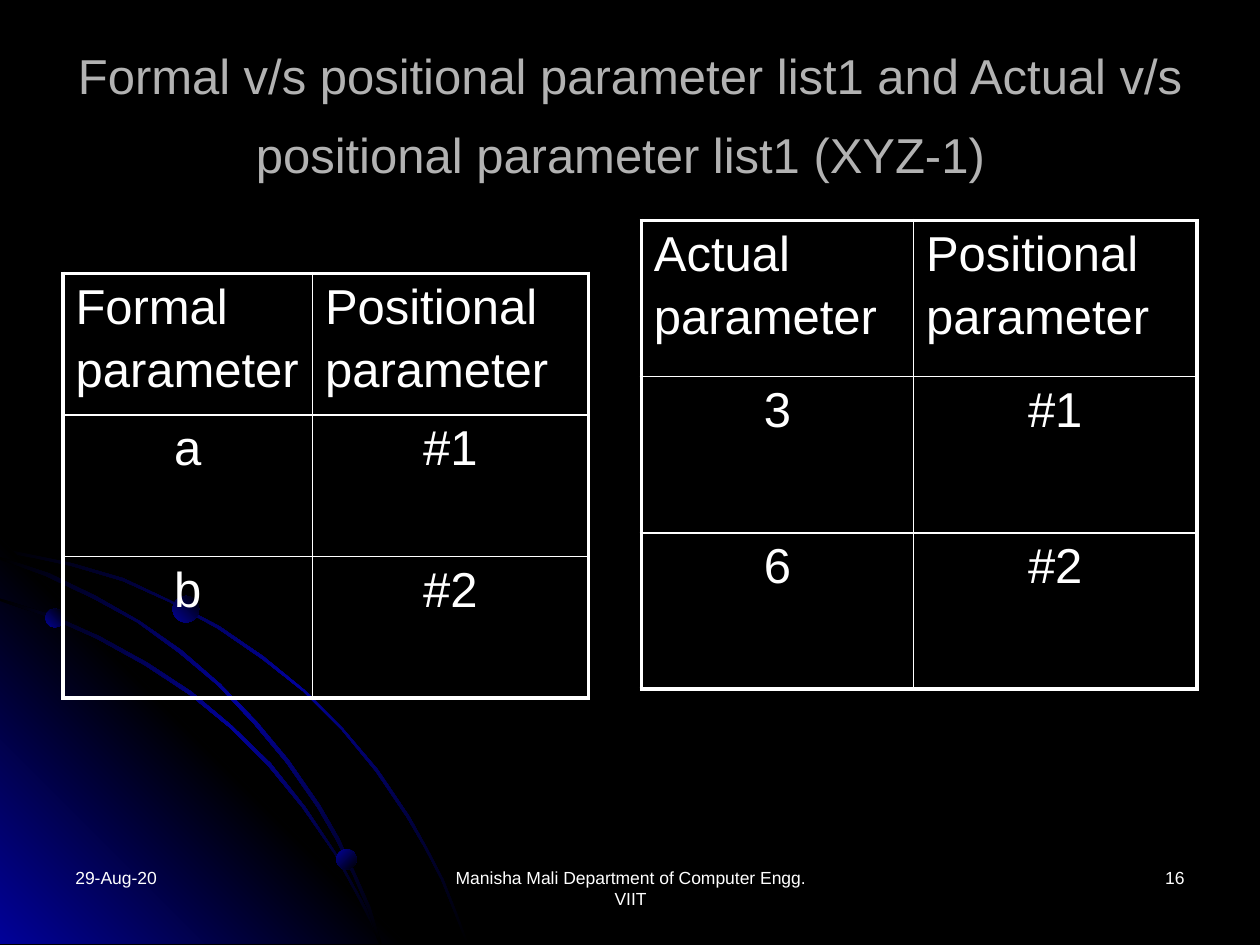
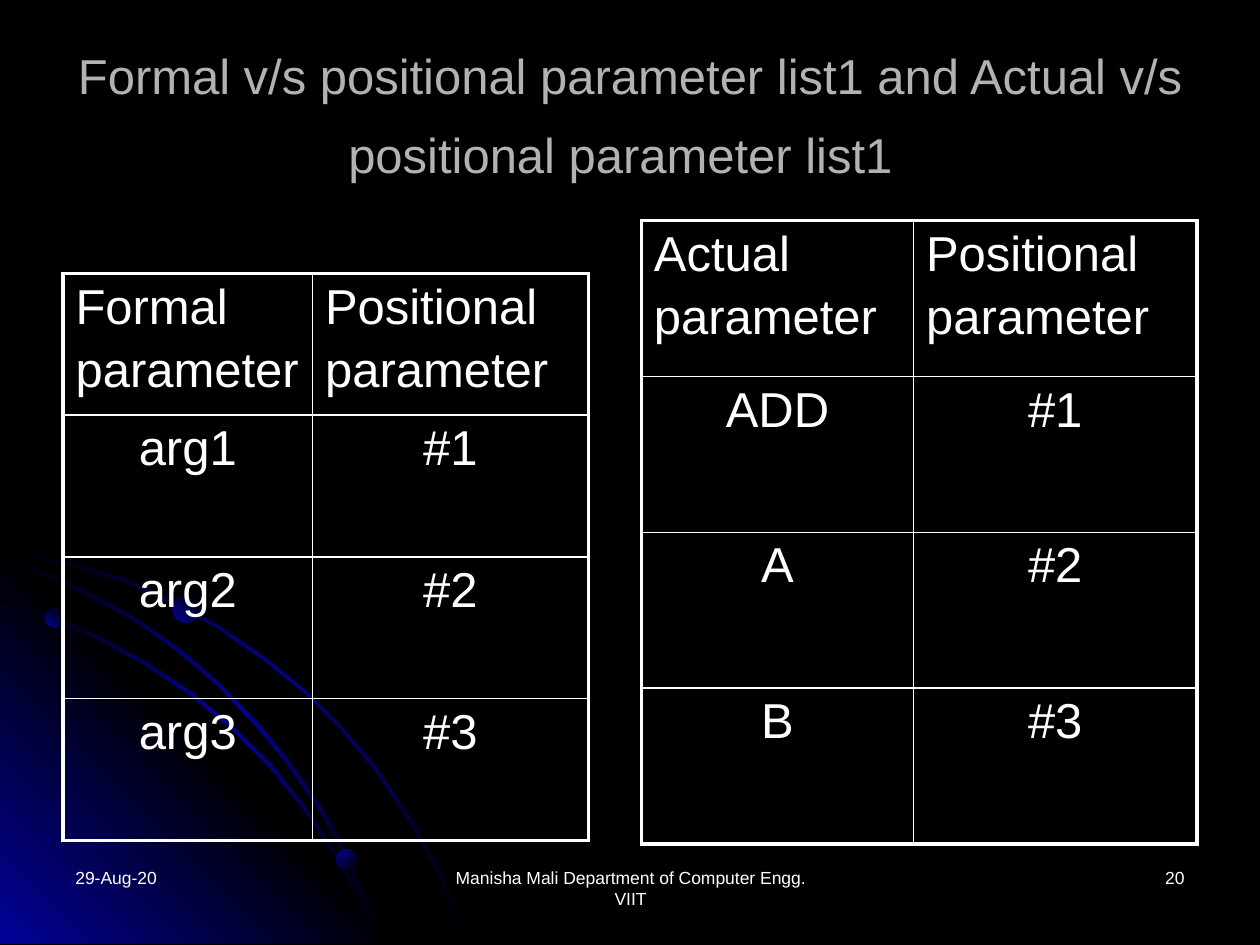
from lxml import etree
from pptx import Presentation
from pptx.dml.color import RGBColor
from pptx.enum.shapes import MSO_SHAPE
from pptx.enum.text import MSO_ANCHOR, MSO_AUTO_SIZE, PP_ALIGN
from pptx.oxml.ns import qn
from pptx.util import Emu, Pt

PX = 9144
LEFT, CENTER, RIGHT = PP_ALIGN.LEFT, PP_ALIGN.CENTER, PP_ALIGN.RIGHT
MIDDLE = MSO_ANCHOR.MIDDLE
NO_FIT = MSO_AUTO_SIZE.NONE
OVAL = MSO_SHAPE.OVAL

FONT = "Arial"
COLORS = {"back": "000000", "glow": "010199", "text": "FFFFFF", "title": "B2B2B2"}
ARC_STOPS = [(0, "back"), (50, "glow"), (100, "back")]
CORNER_STOPS = [(0, "glow"), (50, "back"), (100, "glow")]
PLANET_STOPS = [(0, "glow"), (100, "back")]

OUTER_ARC = [
    (57, 447), (28, 441), (0, 435), (0, 438), (28, 443), (56, 449), (97, 461),
    (135, 478), (173, 499), (208, 523), (241, 549), (271, 579), (298, 612),
    (323, 649), (337, 673), (350, 698), (360, 723), (370, 749), (372, 749),
    (362, 723), (352, 698), (339, 673), (325, 648), (300, 611), (272, 578),
    (242, 548), (209, 521), (174, 497), (136, 477), (98, 459)]
CORNER = [(322, 749), (0, 749), (0, 427)]
INNER_ARC = [
    (285, 714), (294, 732), (301, 749), (303, 749), (296, 730), (286, 712),
    (266, 676), (242, 640), (215, 606), (184, 576), (152, 549), (117, 526),
    (79, 505), (41, 488), (0, 475), (0, 477), (39, 490), (77, 507), (115, 528),
    (150, 551), (183, 578), (213, 608), (240, 641), (265, 677)]
MIDDLE_ARC = [
    (0, 442), (0, 444), (36, 457), (74, 475), (109, 494), (142, 518), (173, 544),
    (202, 575), (227, 605), (252, 641), (267, 667), (280, 694), (292, 722),
    (301, 749), (303, 749), (294, 720), (282, 693), (269, 665), (254, 639),
    (229, 603), (204, 573), (175, 543), (144, 516), (111, 493), (76, 473),
    (39, 455)]
SKY = [(OUTER_ARC, ARC_STOPS, 45), (CORNER, CORNER_STOPS, 315),
       (INNER_ARC, ARC_STOPS, 45), (MIDDLE_ARC, ARC_STOPS, 45)]
PLANETS = [(36, 483, 15, 315), (267, 674, 16, 45), (137, 473, 21, 315)]

TITLE = "Formal v/s positional parameter list1 and Actual v/s positional parameter list1"
SLIDES = [
    (TITLE + " (XYZ-1)", "16", ["a", "b"], 337, ["3", "6"], 372),
    (TITLE, "20", ["arg1", "arg2", "arg3"], 450, ["ADD", "A", "B"], 495),
]


def px(*lengths):
    return [Emu(length * PX) for length in lengths]


def rgb(name):
    return RGBColor.from_string(COLORS[name])


class Deck:
    """Shared style and the slide being built."""

    def __init__(self):
        self.prs = Presentation()
        self.prs.slide_width, self.prs.slide_height = px(1000, 750)
        backdrop = self.prs.slide_master.background.fill
        backdrop.solid()
        backdrop.fore_color.rgb = rgb("back")

    def start_slide(self, title, number):
        self.slide = self.prs.slides.add_slide(self.prs.slide_layouts[5])
        self.shapes = self.slide.shapes
        for outline, stops, angle in SKY:
            self.outline(outline, stops, angle)
        for left, top, size, angle in PLANETS:
            planet = self.shapes.add_shape(OVAL, *px(left, top, size, size))
            self.glow(planet, PLANET_STOPS, angle)
        self.title(title)
        self.footer("29-Aug-20", 50, 233, LEFT)
        self.footer("Manisha Mali Department of Computer Engg. VIIT", 342, 317, CENTER)
        self.footer(number, 717, 233, RIGHT)

    def style(self, font, size, color="text"):
        font.name, font.size, font.color.rgb = FONT, Pt(size), rgb(color)

    def glow(self, shape, stops, angle):
        shape.shadow.inherit = False
        shape.line.fill.background()
        shape.fill.gradient()
        shape.fill.gradient_angle = 360 - angle
        stop_list = shape.element.spPr.find(".//" + qn("a:gsLst"))
        stop_list.clear()
        for position, color in stops:
            stop = etree.SubElement(stop_list, qn("a:gs"), pos=str(position * 1000))
            etree.SubElement(stop, qn("a:srgbClr"), val=COLORS[color])

    def outline(self, points, stops, angle):
        builder = self.shapes.build_freeform(*points[0], scale=PX)
        builder.add_line_segments(points[1:], close=True)
        self.glow(builder.convert_to_shape(), stops, angle)

    def title(self, text):
        holder = self.shapes.title
        holder.left, holder.top, holder.width, holder.height = px(50, 30, 900, 125)
        frame = holder.text_frame
        frame.auto_size, frame.vertical_anchor, frame.word_wrap = NO_FIT, MIDDLE, True
        heading = frame.paragraphs[0]
        heading.alignment = CENTER
        for words, size in [(text, 28), (" ", 40)]:
            run = heading.add_run()
            run.text = words
            self.style(run.font, size, "title")

    def footer(self, text, left, width, align):
        frame = self.shapes.add_textbox(*px(left, 683, width, 50)).text_frame
        frame.word_wrap = True
        line = frame.paragraphs[0]
        line.text, line.alignment = text, align
        self.style(line.font, 10)

    def borders(self, cell, outer_sides):
        props = cell._tc.get_or_add_tcPr()
        for side in "LRTB":
            width = Pt(2.25 if side in outer_sides else 1)
            line = etree.SubElement(props, qn("a:ln" + side), w=str(width))
            fill = etree.SubElement(line, qn("a:solidFill"))
            etree.SubElement(fill, qn("a:srgbClr"), val=COLORS["text"])

    def parameter_table(self, kind, values, left, top, widths, height):
        rows = [(kind + "\nparameter", "Positional\nparameter")]
        rows += [(value, f"#{i}") for i, value in enumerate(values, 1)]
        place = px(left, top, sum(widths), height)
        table = self.shapes.add_table(len(rows), 2, *place).table
        table.first_row = table.horz_banding = False
        for column, width in zip(table.columns, px(*widths)):
            column.width = width
        for r, row in enumerate(rows):
            for c, text in enumerate(row):
                cell = table.cell(r, c)
                sides = "LR"[c] + "T" * (r == 0) + "B" * (r == len(rows) - 1)
                self.borders(cell, sides)
                cell.fill.background()
                cell.text = text
                for i, line in enumerate(cell.text_frame.paragraphs):
                    line.alignment = CENTER if r else LEFT
                    if i:
                        line.space_before = Pt(5)
                    self.style(line.font, 28)


def main():
    deck = Deck()
    for title, number, formal, formal_height, actual, actual_height in SLIDES:
        deck.start_slide(title, number)
        deck.parameter_table("Formal", formal, 50, 217, (198, 219), formal_height)
        deck.parameter_table("Actual", actual, 509, 175, (216, 225), actual_height)
    deck.prs.save("out.pptx")


if __name__ == "__main__":
    main()
